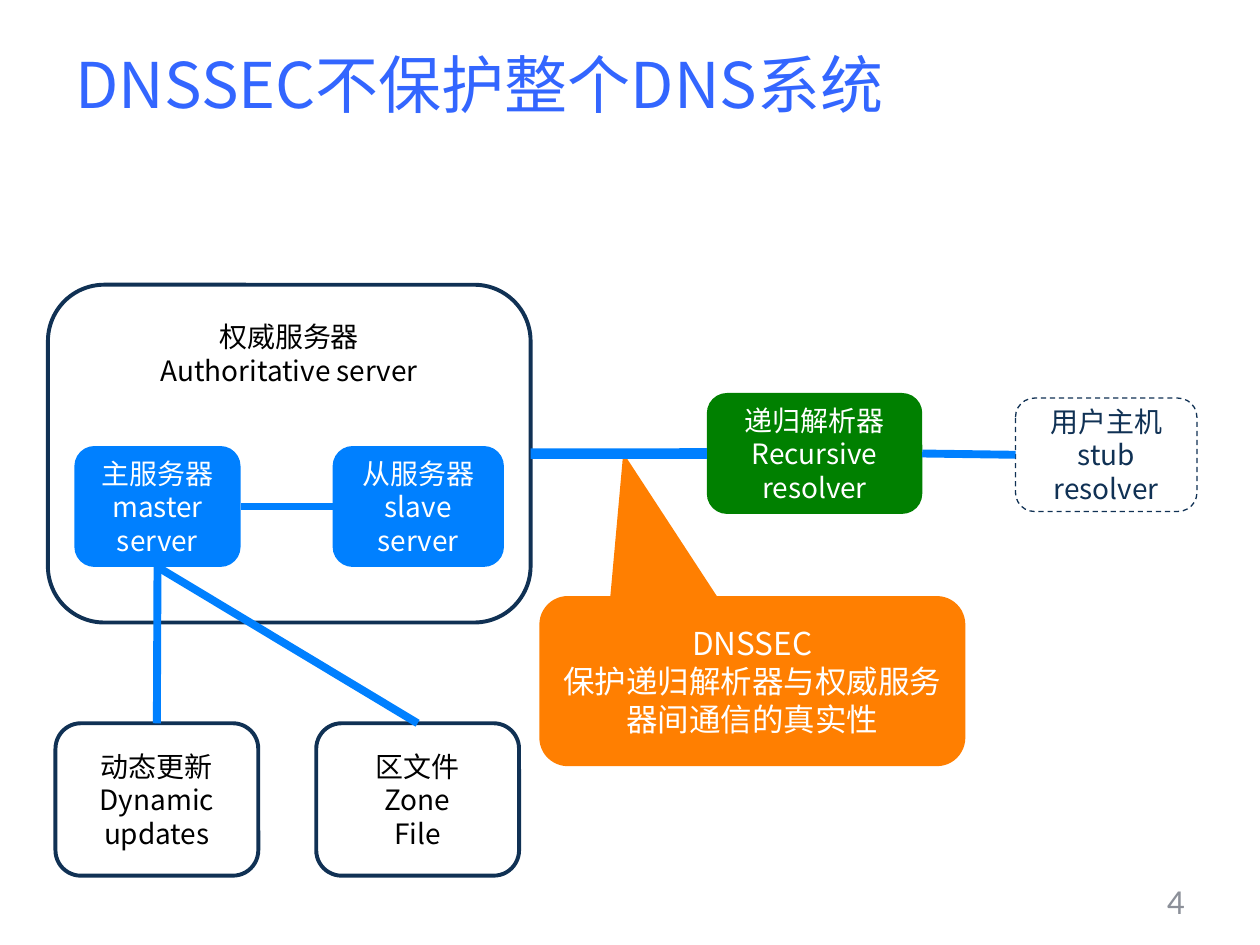
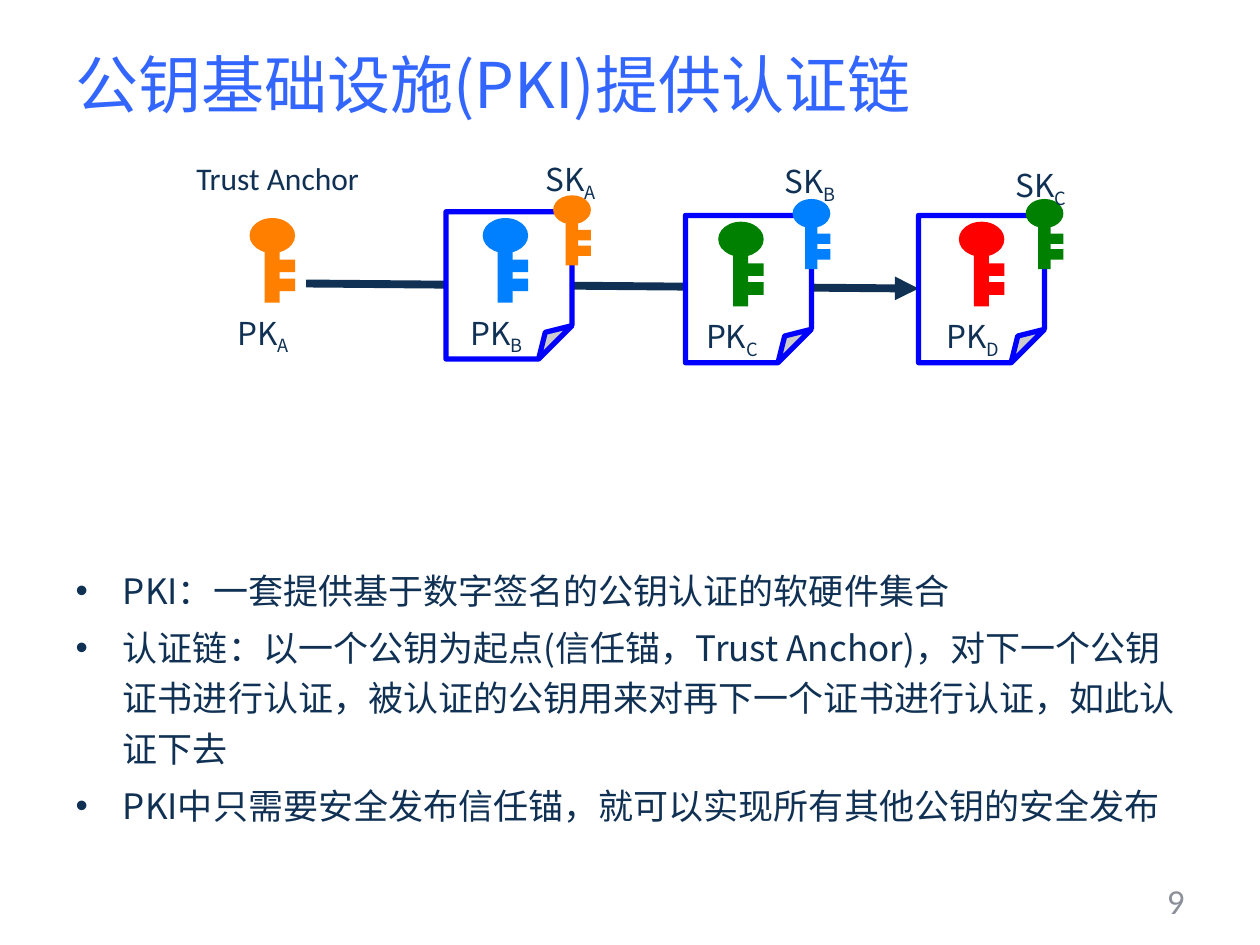
from lxml.etree import SubElement
from pptx import Presentation
from pptx.dml.color import RGBColor
from pptx.enum.dml import MSO_LINE
from pptx.enum.shapes import MSO_CONNECTOR, MSO_SHAPE
from pptx.enum.text import MSO_ANCHOR, MSO_AUTO_SIZE, PP_ALIGN
from pptx.oxml.ns import qn
from pptx.util import Pt

# Shared style
CHINESE_FONT, LATIN_FONT = "Noto Sans CJK SC", "Calibri"
TITLE, NAVY, GRAY, WHITE, BLACK = "3366FF", "103154", "8C9099", "FFFFFF", "000000"
SKY, GREEN, ORANGE, RED, BLUE = "0080FF", "008000", "FF7F01", "FF0000", "0000FF"
TOP, LEFT, BOTTOM, RIGHT = range(4)  # connection sites

# Slide 4: name -> (left, top, width, height), lines, fill, outline, text colour
SYSTEM_TITLE = "DNSSEC不保护整个DNS系统"
SERVERS = {
    "recursive": ((403.9, 224.6, 123.1, 69.1), ["递归解析器", "Recursive", "resolver"], GREEN, None, WHITE),
    "stub": ((580.3, 227.5, 103.7, 64.8), ["用户主机", "stub resolver"], None, 0.75, NAVY),
    "authority": ((27.4, 162.7, 275.8, 193), ["权威服务器", "Authoritative server"], None, 2.25, BLACK),
    "master": ((42.5, 254.9, 95, 69.1), ["主服务器", "master", "server"], SKY, None, WHITE),
    "slave": ((190.1, 254.9, 97.9, 69.1), ["从服务器", "slave", "server"], SKY, None, WHITE),
    "updates": ((31.7, 413.3, 115.9, 87.1), ["动态更新", "Dynamic updates"], None, 2.25, BLACK),
    "zone": ((180.7, 413.3, 115.9, 87.1), ["区文件", "Zone", "File"], None, 2.25, BLACK),
}
LINKS = [
    ("recursive", RIGHT, "stub", LEFT, 4.5),
    ("recursive", LEFT, "authority", RIGHT, 6),
    ("slave", LEFT, "master", RIGHT, 4.5),
    ("master", BOTTOM, "zone", TOP, 4.5),
    ("master", BOTTOM, "updates", TOP, 4.5),
]
CALLOUT_BOX = (308.2, 340.6, 243.4, 97.2)
CALLOUT_POINT = (-0.303, -1.342, 0.167)
CALLOUT_TEXT = ["DNSSEC", "保护递归解析器与权威服务器间通信的真实性"]

# Slide 9
CHAIN_TITLE = "公钥基础设施(PKI)提供认证链"
CHAIN_POINTS = [
    "PKI：一套提供基于数字签名的公钥认证的软硬件集合",
    "认证链：以一个公钥为起点(信任锚，Trust Anchor)，对下一个公钥证书进行认证，"
    "被认证的公钥用来对再下一个证书进行认证，如此认证下去",
    "PKI中只需要安全发布信任锚，就可以实现所有其他公钥的安全发布",
]
# Public keys: owner, colour, left, top
PUBLIC_KEYS = [
    ("A", ORANGE, 142.6, 124.6),
    ("B", SKY, 275.8, 124.6),
    ("C", GREEN, 410.4, 126.7),
    ("D", RED, 547.9, 126.7),
]
# Certificates: signer, key colour, left, top, left and top of the signer's label
CERTIFICATES = [
    ("A", ORANGE, 254.9, 121, 304.6, 87.8),
    ("B", SKY, 391.7, 123.1, 441.4, 89.3),
    ("C", GREEN, 524.9, 123.1, 573.1, 91.4),
]
# Parts of a key: preset, left, top, width, height
KEY_PARTS = [
    (MSO_SHAPE.OVAL, 0, 0, 26, 20),
    (MSO_SHAPE.RECTANGLE, 8.6, 14.6, 8.6, 33.8),
    (MSO_SHAPE.RECTANGLE, 13, 34.6, 13, 7.2),
    (MSO_SHAPE.RECTANGLE, 13, 23.8, 13, 7.2),
]


def color(value):
    return RGBColor.from_string(value)


def points(*lengths):
    return [Pt(length) for length in lengths]


def style_paragraph(paragraph, size, text_color, alignment=PP_ALIGN.LEFT, font=CHINESE_FONT):
    paragraph.alignment = alignment
    paragraph.font.size = Pt(size)
    paragraph.font.color.rgb = color(text_color)
    paragraph.font.name = font
    properties = paragraph._p.pPr.find(qn("a:defRPr"))
    SubElement(properties, qn("a:ea")).set("typeface", font)


def write(frame, lines, *style):
    for index, line in enumerate(lines):
        paragraph = frame.add_paragraph() if index else frame.paragraphs[0]
        paragraph.text = line
        style_paragraph(paragraph, *style)


def fill_placeholder(placeholder, box, lines, size, text_color):
    placeholder.left, placeholder.top, placeholder.width, placeholder.height = points(*box)
    placeholder.text_frame.auto_size = MSO_AUTO_SIZE.NONE
    write(placeholder.text_frame, lines, size, text_color)


def add_slide(layout, title, number):
    slide = presentation.slides.add_slide(presentation.slide_layouts[layout])
    fill_placeholder(slide.shapes.title, (36, 2.5, 648, 90), [title], 36, TITLE)
    slide.shapes.title.text_frame.vertical_anchor = MSO_ANCHOR.MIDDLE
    frame = slide.shapes.add_textbox(*points(516.2, 500.4, 167.8, 28.8)).text_frame
    frame.word_wrap = True
    frame.vertical_anchor = MSO_ANCHOR.MIDDLE
    write(frame, [number], 20, GRAY, PP_ALIGN.RIGHT, LATIN_FONT)
    return slide


def add_shape(shapes, preset, box, fill=None, line=None, line_color=NAVY):
    shape = shapes.add_shape(preset, *points(*box))
    shape.shadow.inherit = False
    if fill:
        shape.fill.solid()
        shape.fill.fore_color.rgb = color(fill)
    else:
        shape.fill.background()
    if line:
        shape.line.width = Pt(line)
        shape.line.color.rgb = color(line_color)
    else:
        shape.line.fill.background()
    return shape


def add_paper(slide, left, top):
    paper = add_shape(slide.shapes, MSO_SHAPE.FOLDED_CORNER, (left, top, 72, 84.2), WHITE, 3, BLUE)
    # The library knows no adjustment for this preset
    geometry = paper._element.spPr.find(qn("a:prstGeom"))
    geometry.set("prst", "foldedCorner")
    guide = SubElement(geometry.find(qn("a:avLst")), qn("a:gd"))
    guide.set("name", "adj")
    guide.set("fmla", "val 26500")


def add_line(slide, ends, width, line_color):
    connector = slide.shapes.add_connector(MSO_CONNECTOR.STRAIGHT, *points(*ends))
    connector.line.width = Pt(width)
    connector.line.color.rgb = color(line_color)
    SubElement(connector._element.spPr, qn("a:effectLst"))
    return connector


def add_label(slide, left, top, text, subscript="", width=45.4, font=CHINESE_FONT):
    frame = slide.shapes.add_textbox(*points(left, top, width, 28.8)).text_frame
    frame.word_wrap = False
    frame.auto_size = MSO_AUTO_SIZE.SHAPE_TO_FIT_TEXT
    write(frame, [text], 18, NAVY, PP_ALIGN.LEFT, font)
    if subscript:
        run = frame.paragraphs[0].add_run()
        run.text = subscript
        run._r.get_or_add_rPr().set("baseline", "-25000")


def add_key(slide, left, top, fill, scale=1.0):
    group = slide.shapes.add_group_shape()
    for preset, x, y, width, height in KEY_PARTS:
        box = (left + x * scale, top + y * scale, width * scale, height * scale)
        add_shape(group.shapes, preset, box, fill)


presentation = Presentation()
presentation.slide_width, presentation.slide_height = points(720, 540)

# Slide 4: what the protocol protects
slide = add_slide(5, SYSTEM_TITLE, "4")
callout = add_shape(slide.shapes, MSO_SHAPE.ROUNDED_RECTANGULAR_CALLOUT, CALLOUT_BOX, ORANGE)
for index, value in enumerate(CALLOUT_POINT):
    callout.adjustments[index] = value
callout.text_frame.vertical_anchor = MSO_ANCHOR.MIDDLE
write(callout.text_frame, CALLOUT_TEXT, 18, WHITE, PP_ALIGN.CENTER)

boxes = {}
for name, (box, lines, fill, outline, text_color) in SERVERS.items():
    shape = add_shape(slide.shapes, MSO_SHAPE.ROUNDED_RECTANGLE, box, fill, outline)
    shape.text_frame.vertical_anchor = MSO_ANCHOR.MIDDLE
    write(shape.text_frame, lines, 16, text_color, PP_ALIGN.CENTER)
    boxes[name] = shape
boxes["stub"].line.dash_style = MSO_LINE.DASH
boxes["authority"].text_frame.vertical_anchor = MSO_ANCHOR.TOP
boxes["authority"].text_frame.margin_top = Pt(10.6)

for start, start_site, end, end_site, width in LINKS:
    connector = add_line(slide, (0, 0, 0, 0), width, SKY)
    connector.begin_connect(boxes[start], start_site)
    connector.end_connect(boxes[end], end_site)

# Slide 9: chain of certificates
slide = add_slide(1, CHAIN_TITLE, "9")
body = slide.placeholders[1]
fill_placeholder(body, (36, 316.8, 648, 201.6), CHAIN_POINTS, 20, NAVY)
for paragraph in body.text_frame.paragraphs:
    paragraph.line_spacing = 1.2

arrow = add_line(slide, (175, 162, 524.9, 164.9), 4.5, NAVY)
SubElement(arrow._element.spPr.find(qn("a:ln")), qn("a:tailEnd")).set("type", "triangle")
for signer, key_color, left, top, label_left, label_top in CERTIFICATES:
    add_paper(slide, left, top)
    add_key(slide, left + 61.2, top - 9.4, key_color, 0.83)
    add_label(slide, label_left, label_top, "SK", signer)
for owner, key_color, left, top in PUBLIC_KEYS:
    add_key(slide, left, top, key_color)
    add_label(slide, left - 14, top + 51.1, "PK", owner)
add_label(slide, 105.1, 87.1, "Trust Anchor", width=110.2, font=LATIN_FONT)

presentation.save("out.pptx")
